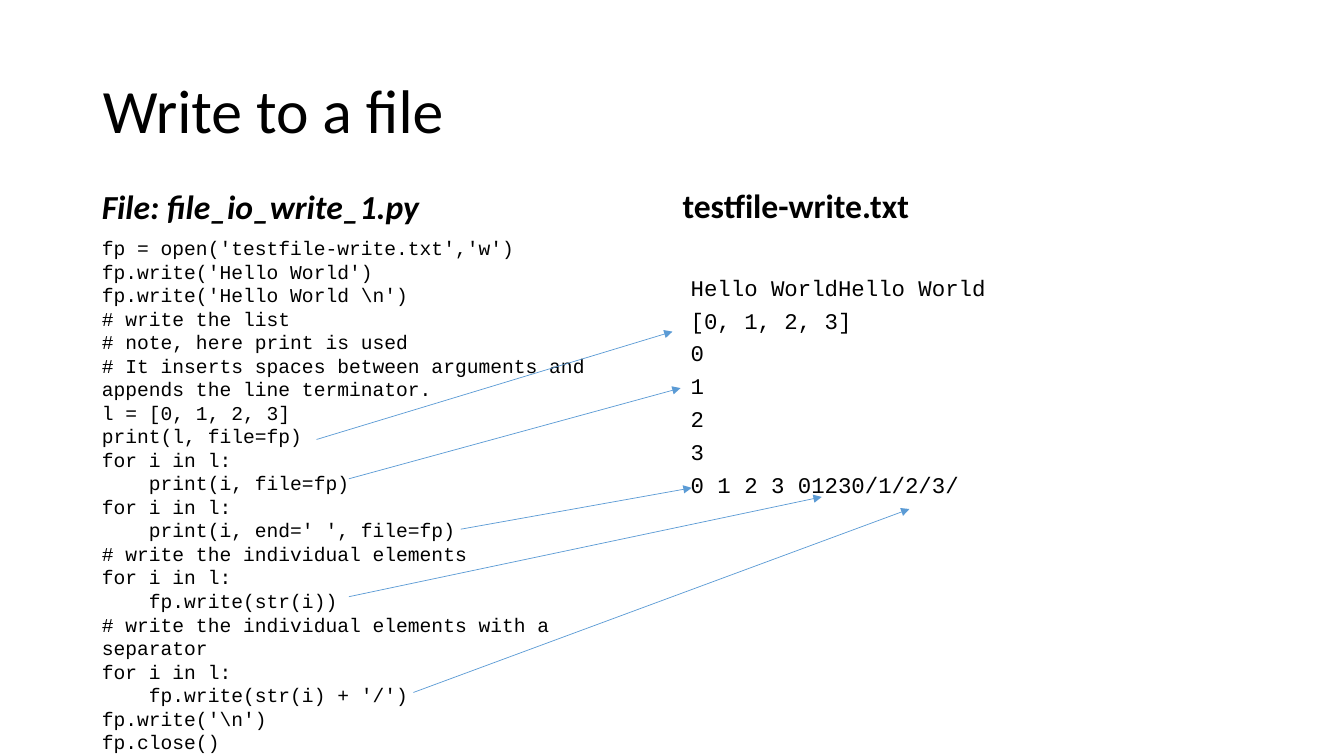
from dataclasses import dataclass

from lxml import etree
from pptx import Presentation
from pptx.dml.color import RGBColor
from pptx.enum.shapes import MSO_CONNECTOR
from pptx.enum.text import MSO_ANCHOR, MSO_AUTO_SIZE, PP_ALIGN
from pptx.oxml.ns import qn
from pptx.util import Emu, Pt

PX = 9144
STRAIGHT = MSO_CONNECTOR.STRAIGHT
TOP, MIDDLE, BOTTOM = MSO_ANCHOR.TOP, MSO_ANCHOR.MIDDLE, MSO_ANCHOR.BOTTOM
LEFT = PP_ALIGN.LEFT
FIXED_SIZE = MSO_AUTO_SIZE.NONE
COMPARISON_LAYOUT = 4


@dataclass(frozen=True)
class Theme:
    """Colours, fonts and sizes of the slide."""

    ink: RGBColor = RGBColor(0x00, 0x00, 0x00)
    paper: RGBColor = RGBColor(0xFF, 0xFF, 0xFF)
    arrow: RGBColor = RGBColor(0x5B, 0x9B, 0xD5)
    prose: str = "Calibri"
    mono: str = "Courier New"
    title_size: int = 44
    heading_size: int = 24
    code_size: int = 14
    output_size: int = 16
    arrow_width: float = 0.5


THEME = Theme()

CODE = r"""fp = open('testfile-write.txt','w')
fp.write('Hello World')
fp.write('Hello World \n')
# write the list
# note, here print is used
# It inserts spaces between arguments and appends the line terminator.
l = [0, 1, 2, 3]
print(l, file=fp)
for i in l:
    print(i, file=fp)
for i in l:
    print(i, end=' ', file=fp)
# write the individual elements
for i in l:
    fp.write(str(i))
# write the individual elements with a separator
for i in l:
    fp.write(str(i) + '/')
fp.write('\n')
fp.close()"""

OUTPUT = """Hello WorldHello World
[0, 1, 2, 3]
0
1
2
3
0 1 2 3 01230/1/2/3/"""

CODE_TO_OUTPUT = [
    ((314, 436), (667, 329)),
    ((346, 475), (675, 385)),
    ((457, 525), (686, 484)),
    ((346, 592), (815, 493)),
    ((410, 687), (902, 505)),
]


def px(length):
    """Turn px into EMU."""
    return Emu(length * PX)


def fill_placeholder(holder, box, text, size, face, anchor=TOP, spacing=1.0,
                     before=0, bold=False, italic=False):
    """Place a placeholder in its box and write one paragraph per line."""
    holder.left, holder.top, holder.width, holder.height = map(px, box)
    frame = holder.text_frame
    frame.word_wrap = True
    frame.auto_size = FIXED_SIZE
    frame.vertical_anchor = anchor
    frame.text = text
    for number, paragraph in enumerate(frame.paragraphs):
        properties = paragraph._p.get_or_add_pPr()
        properties.set("marL", "0")
        properties.set("indent", "0")
        etree.SubElement(properties, qn("a:buNone"))
        paragraph.alignment = LEFT
        paragraph.line_spacing = spacing
        paragraph.space_before = Pt(before if number else 0)
        paragraph.space_after = Pt(0)
        font = paragraph.font
        font.name, font.size = face, Pt(size)
        font.bold, font.italic = bold, italic
        font.color.rgb = THEME.ink


def add_title(slide, box):
    """Write the slide title."""
    fill_placeholder(slide.shapes.title, box, "Write to a file",
                     THEME.title_size, THEME.prose, MIDDLE, 0.9)


def add_heading(holder, box, text, italic=False):
    """Write the bold heading of a column."""
    fill_placeholder(holder, box, text, THEME.heading_size, THEME.prose,
                     BOTTOM, 0.9, bold=True, italic=italic)


def add_script_column(slide, box):
    """Build the left column: file name above the code."""
    left, top, width, height = box
    heading, code = slide.placeholders[1], slide.placeholders[2]
    add_heading(heading, (left, top, width, 90), "File: file_io_write_1.py", True)
    fill_placeholder(code, (left, top + 89, width, height - 89), CODE,
                     THEME.code_size, THEME.mono)


def add_output_column(slide, box):
    """Build the right column: file name above the written text."""
    left, top, width, height = box
    heading, output = slide.placeholders[3], slide.placeholders[4]
    add_heading(heading, (left, top, width, 90), "testfile-write.txt")
    fill_placeholder(output, (left + 8, top + 135, width, height - 135), OUTPUT,
                     THEME.output_size, THEME.mono, spacing=0.7, before=10)


def add_arrow(slide, start, end):
    """Draw an arrow from a code line to what it writes."""
    arrow = slide.shapes.add_connector(STRAIGHT, *map(px, start + end))
    arrow.line.color.rgb = THEME.arrow
    arrow.line.width = Pt(THEME.arrow_width)
    etree.SubElement(arrow.line._get_or_add_ln(), qn("a:tailEnd"), type="triangle")
    etree.SubElement(arrow._element.spPr, qn("a:effectLst"))


def build_comparison(deck):
    """Build the slide that sets the code beside its output."""
    slide = deck.slides.add_slide(deck.slide_layouts[COMPARISON_LAYOUT])
    slide.background.fill.solid()
    slide.background.fill.fore_color.rgb = THEME.paper
    add_title(slide, (92, 40, 1150, 145))
    add_script_column(slide, (91, 140, 564, 598))
    add_output_column(slide, (667, 139, 567, 538))
    for start, end in CODE_TO_OUTPUT:
        add_arrow(slide, start, end)


def main():
    """Create and save the deck."""
    deck = Presentation()
    deck.slide_width, deck.slide_height = px(1333), px(750)
    build_comparison(deck)
    deck.save("out.pptx")


if __name__ == "__main__":
    main()
